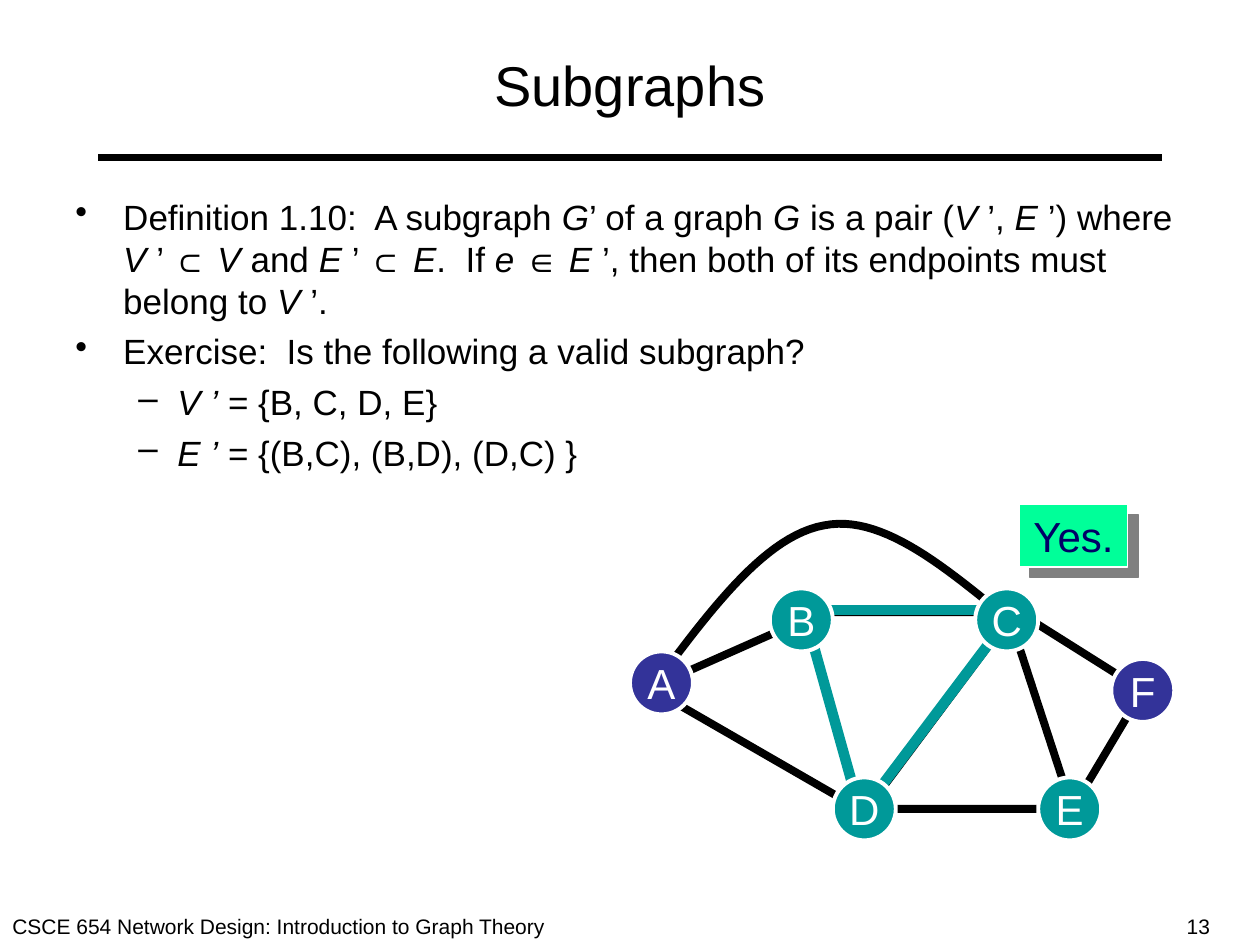
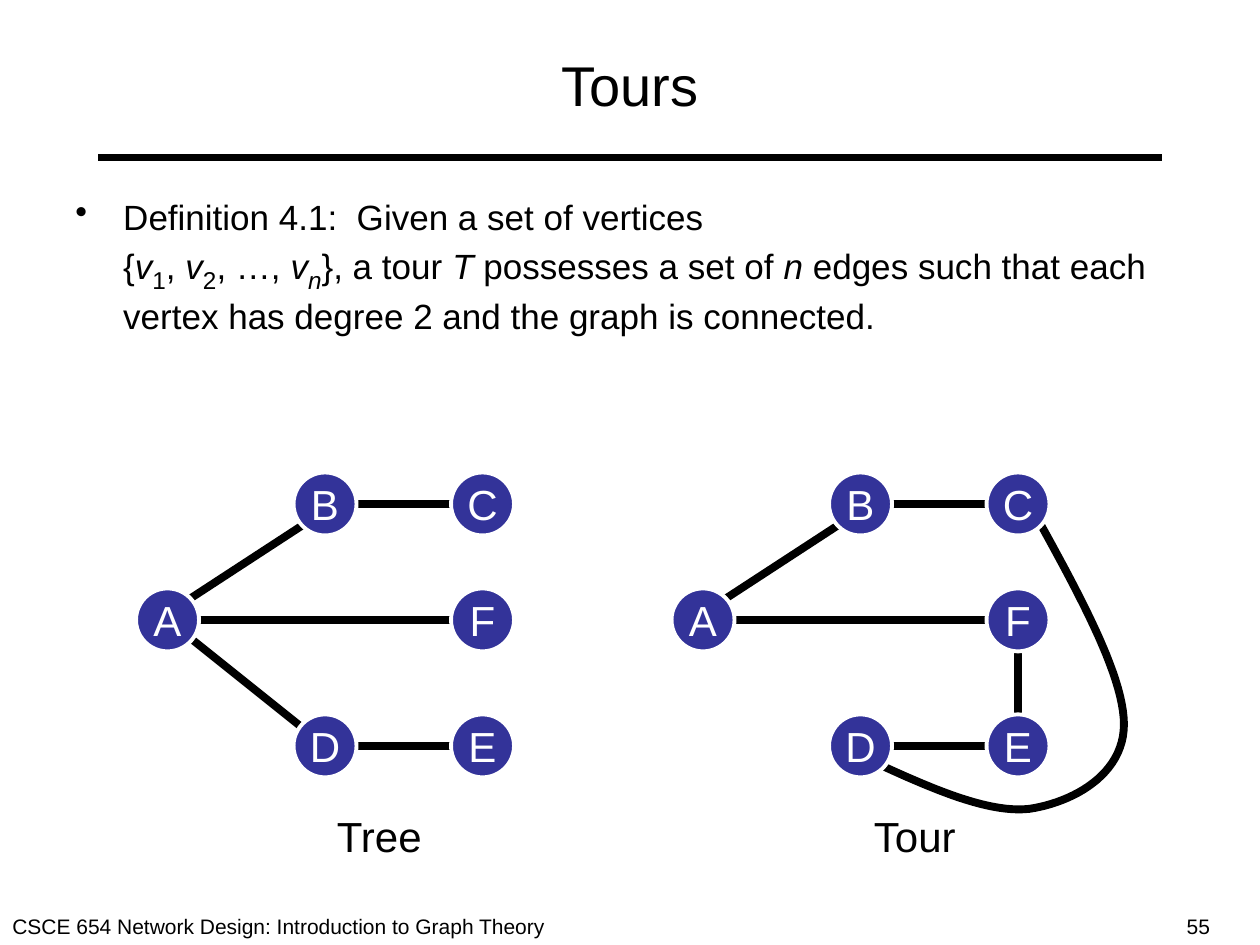
"""Build two graph theory slides: subgraphs and tours."""

from dataclasses import dataclass

from lxml.etree import SubElement
from pptx import Presentation
from pptx.dml.color import RGBColor
from pptx.enum.shapes import MSO_CONNECTOR, MSO_SHAPE
from pptx.enum.text import MSO_ANCHOR, PP_ALIGN
from pptx.oxml.ns import qn
from pptx.util import Inches, Pt


@dataclass(frozen=True)
class Theme:
    font: str = "Arial"
    black: str = "000000"
    white: str = "FFFFFF"
    navy: str = "000066"
    blue: str = "333399"
    teal: str = "009999"
    green: str = "00FF99"
    gray: str = "808080"
    title_size: float = 32
    label_size: float = 24
    body_size: float = 20
    footer_size: float = 12
    edge_width: float = 4.5
    highlight_width: float = 6
    outline_width: float = 2.25


THEME = Theme()
FOOTER = "CSCE 654 Network Design: Introduction to Graph Theory"
NODE_SIZE = 0.5
CURVE_STEPS = 24

# Body text marks: *italic*, _subscript_, newline for a line break.
LEVELS = [("•", 0.38, -0.38), ("–", 0.81, -0.31)]

SUBGRAPH_BODY = [
    (0, "Definition 1.10:  A subgraph *G*’ of a graph *G* is a pair (*V *’, *E *’) where "
        "*V *’ ⊂ *V* and *E *’ ⊂ *E*.  If *e *∈ *E *’, "
        "then both of its endpoints must belong to *V* ’."),
    (0, "Exercise:  Is the following a valid subgraph?"),
    (1, "*V ’* = {B, C, D, E}"),
    (1, "*E ’* = {(B,C), (B,D), (D,C) }"),
]
SUBGRAPH_QUAD = [(6.38, 4.86), (8, 4.86), (8.51, 6.42), (6.82, 6.42)]
SUBGRAPH_ARC = [(7.94, 4.86), (7.46, 4.47), (6.98, 4.08), (6.54, 4.17),
                (6.09, 4.25), (5.67, 4.8), (5.25, 5.36)]
SUBGRAPH_EDGES = [
    ((8, 4.92), (6.88, 6.42)),
    ((6.38, 4.92), (5.25, 5.42)),
    ((6.82, 6.42), (5.19, 5.48)),
    ((9.07, 5.48), (8.07, 4.85)),
    ((8.51, 6.42), (9.07, 5.48)),
]
CHOSEN_EDGES = [
    ((6.4, 4.92), (6.82, 6.42)),
    ((7.99, 4.84), (6.49, 4.84)),
    ((7.99, 4.92), (6.86, 6.42)),
]
OTHER_NODES = {"A": (5.25, 5.42), "F": (9.07, 5.48)}
CHOSEN_NODES = {"B": (6.36, 4.92), "C": (7.99, 4.92), "D": (6.86, 6.42), "E": (8.49, 6.42)}

TOURS_BODY = [
    (0, "Definition 4.1:  Given a set of vertices\n{*v*_1_, *v*_2_, …, *v_n_*}, a tour *T* "
        "possesses a set of *n* edges such that each vertex has degree 2 "
        "and the graph is connected."),
]
COLUMN_STEP = 1.25
ROWS = [4, 4.92, 5.92]
GRID = {"A": (0, 1), "E": (2, 2), "B": (1, 0), "D": (1, 2), "C": (2, 0), "F": (2, 1)}
SLANTED_ENDS = {"AB": (-0.08, 0.08)}
TOUR_GRAPHS = [
    ("Tree", 1.33, ["DE", "AB", "AD", "BC", "AF"]),
    ("Tour", 5.58, ["DE", "AB", "AF", "BC", "FE"]),
]
TOUR_ARC = [(6.83, 6), (7.33, 6.23), (7.82, 6.46), (8.17, 6.42), (8.51, 6.37),
            (8.92, 6.15), (8.92, 5.75), (8.92, 5.35), (8.54, 4.67), (8.17, 4)]


def color(value):
    return RGBColor.from_string(value)


def style_run(run, size, text_color=THEME.black):
    run.font.name = THEME.font
    run.font.size = Pt(size)
    run.font.color.rgb = color(text_color)


def write(shape, text, size, text_color=THEME.black, align=PP_ALIGN.CENTER, wrap=False):
    frame = shape.text_frame
    frame.text = text
    frame.word_wrap = wrap
    frame.vertical_anchor = MSO_ANCHOR.MIDDLE
    paragraph = frame.paragraphs[0]
    paragraph.alignment = align
    style_run(paragraph.runs[0], size, text_color)


def add_text(slide, box, text, size, align=PP_ALIGN.CENTER, wrap=False):
    shape = slide.shapes.add_textbox(*map(Inches, box))
    write(shape, text, size, align=align, wrap=wrap)


def add_marked_runs(paragraph, text):
    for italic_index, part in enumerate(text.split("*")):
        for subscript_index, piece in enumerate(part.split("_")):
            for line_index, line in enumerate(piece.split("\n")):
                if line_index:
                    paragraph.add_line_break()
                if not line:
                    continue
                run = paragraph.add_run()
                run.text = line
                subscript = subscript_index % 2 == 1
                style_run(run, THEME.label_size if subscript else THEME.body_size)
                run.font.italic = italic_index % 2 == 1
                if subscript:
                    run.font._element.set("baseline", "-25000")


def add_body(slide, items):
    frame = slide.shapes.add_textbox(*map(Inches, (0.5, 1.5, 9, 5.2))).text_frame
    frame.word_wrap = True
    for index, (level, text) in enumerate(items):
        paragraph = frame.add_paragraph() if index else frame.paragraphs[0]
        bullet, margin, indent = LEVELS[level]
        properties = paragraph._p.get_or_add_pPr()
        properties.set("marL", str(Inches(margin)))
        properties.set("indent", str(Inches(indent)))
        SubElement(properties, qn("a:buChar")).set("char", bullet)
        paragraph.level = level
        if index:
            paragraph.space_before = Pt(5)
        add_marked_runs(paragraph, text)


def add_line(slide, start, end, line_color=THEME.black, width=THEME.edge_width):
    points = map(Inches, (*start, *end))
    connector = slide.shapes.add_connector(MSO_CONNECTOR.STRAIGHT, *points)
    connector.line.color.rgb = color(line_color)
    connector.line.width = Pt(width)
    SubElement(connector._element.spPr, qn("a:effectLst"))


def add_outline(slide, points, close):
    corners = [(Inches(x), Inches(y)) for x, y in points]
    builder = slide.shapes.build_freeform(*corners[0])
    builder.add_line_segments(corners[1:], close=close)
    shape = builder.convert_to_shape()
    shape.shadow.inherit = False
    shape.fill.background()
    shape.line.color.rgb = color(THEME.black)
    shape.line.width = Pt(THEME.edge_width)


def bezier_points(controls):
    points = [controls[0]]
    for first in range(0, len(controls) - 1, 3):
        segment = controls[first:first + 4]
        for step in range(1, CURVE_STEPS + 1):
            t = step / CURVE_STEPS
            weights = ((1 - t) ** 3, 3 * t * (1 - t) ** 2, 3 * t * t * (1 - t), t ** 3)
            points.append(tuple(sum(weight * value for weight, value in zip(weights, axis))
                                for axis in zip(*segment)))
    return points


def add_filled(slide, kind, box, fill, outline_width):
    shape = slide.shapes.add_shape(kind, *map(Inches, box))
    shape.shadow.inherit = False
    shape.fill.solid()
    shape.fill.fore_color.rgb = color(fill)
    shape.line.color.rgb = color(THEME.white)
    shape.line.width = Pt(outline_width)
    return shape


def add_nodes(slide, nodes, fill=THEME.blue):
    for name, (x, y) in nodes.items():
        box = (x - NODE_SIZE / 2, y - NODE_SIZE / 2, NODE_SIZE, NODE_SIZE)
        shape = add_filled(slide, MSO_SHAPE.OVAL, box, fill, THEME.outline_width)
        write(shape, name, THEME.label_size, THEME.white)


def add_answer(slide, text):
    shape = add_filled(slide, MSO_SHAPE.RECTANGLE, (8.09, 4, 0.86, 0.5), THEME.green, 1)
    write(shape, text, THEME.label_size, THEME.navy)
    effects = shape._element.spPr.find(qn("a:effectLst"))
    shadow = SubElement(effects, qn("a:outerShdw"), dist=str(Pt(8.5)), dir="2700000")
    SubElement(shadow, qn("a:srgbClr")).set("val", THEME.gray)


def add_slide(presentation, title, number, body):
    slide = presentation.slides.add_slide(presentation.slide_layouts[6])
    add_line(slide, (0.78, 1.25), (9.22, 1.25))
    for box, text in [((0, 7.2, 4.6, 0.3), FOOTER), ((9.32, 7.2, 0.6, 0.3), number)]:
        add_text(slide, box, text, THEME.footer_size, PP_ALIGN.LEFT, True)
    add_text(slide, (0.5, 0.17, 9, 1), title, THEME.title_size, wrap=True)
    add_body(slide, body)
    return slide


def build_subgraphs(presentation):
    slide = add_slide(presentation, "Subgraphs", "13", SUBGRAPH_BODY)
    add_outline(slide, SUBGRAPH_QUAD, True)
    add_outline(slide, bezier_points(SUBGRAPH_ARC), False)
    for start, end in SUBGRAPH_EDGES:
        add_line(slide, start, end)
    add_nodes(slide, OTHER_NODES)
    add_answer(slide, "Yes.")
    for start, end in CHOSEN_EDGES:
        add_line(slide, start, end, THEME.teal, THEME.highlight_width)
    add_nodes(slide, CHOSEN_NODES, THEME.teal)


def build_tours(presentation):
    slide = add_slide(presentation, "Tours", "55", TOURS_BODY)
    add_outline(slide, bezier_points(TOUR_ARC), False)
    for label, left, edges in TOUR_GRAPHS:
        nodes = {name: (left + column * COLUMN_STEP, ROWS[row])
                 for name, (column, row) in GRID.items()}
        for edge in edges:
            start, end = [(nodes[name][0] + shift, nodes[name][1])
                          for name, shift in zip(edge, SLANTED_ENDS.get(edge, (0, 0)))]
            add_line(slide, start, end)
        add_nodes(slide, nodes)
        add_text(slide, (left + 1.24, 6.38, 0.88, 0.5), label, THEME.label_size)


def main():
    presentation = Presentation()
    presentation.slide_width = Inches(10)
    presentation.slide_height = Inches(7.5)
    build_subgraphs(presentation)
    build_tours(presentation)
    presentation.save("out.pptx")


if __name__ == "__main__":
    main()
